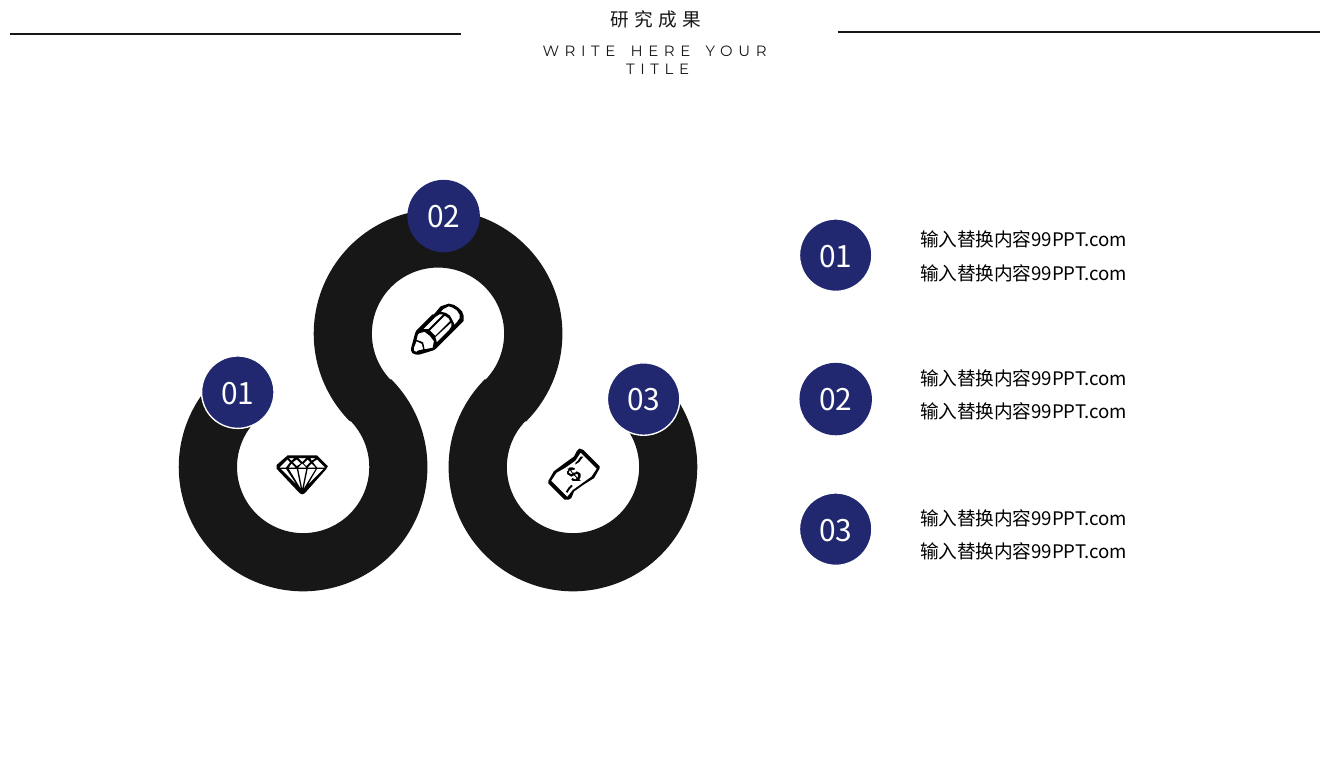
from pptx import Presentation
from pptx.dml.color import RGBColor
from pptx.enum import shapes, text
from pptx.oxml import ns
from pptx.util import Cm, Pt
from lxml import etree

THEME = {
    "ink": "181717", "badge": "212870", "white": "FFFFFF", "black": "000000",
    "cjk": "Noto Sans CJK SC", "latin": "Montserrat",
    "subtitle": 8, "body": 10, "number": 16, "leading": 1.2,
}

TITLE = ("研究成果", 11.28, 0.03, 2.36, 0.69)
SUBTITLE = ("WRITE HERE YOUR TITLE", 9.93, 0.66, 5, 0.94)
RULES = [(0.18, 8.71, 0.64), (15.83, 24.94, 0.6)]

ENTRY = ["输入替换内容99PPT.com"] * 2
ITEMS = [
    {"number": "01", "ring_badge": (3.81, 6.73), "legend_top": 4.14, "entry_top": 4.19, "outlined": True},
    {"number": "02", "ring_badge": (7.7, 3.4), "legend_top": 6.86, "entry_top": 6.81, "outlined": False},
    {"number": "03", "ring_badge": (11.48, 6.86), "legend_top": 9.32, "entry_top": 9.45, "outlined": True},
]
RINGS = [(6.48, 315, 225), (3.96, 135, 45), (6.48, 315, 225)]
RING_LEFT, RING_STEP, RING_SIZE, RING_BAND = 3.38, 2.55, 4.7, 1.1
BADGE_SIZE, LEGEND_LEFT, ENTRY_LEFT = 1.37, 15.11, 16.61

ICON_UNIT = 0.0254
DIAMOND = [
    [(37, 7), (31, 1), (30, 0), (8, 0), (7, 1), (0, 7), (0, 10), (17, 28), (19, 29), (21, 28), (37, 10), (38, 8)],
    [(22, 9), (16, 9), (19, 6)],
    [(20, 6), (23, 3), (25, 5), (22, 8)],
    [(15, 8), (12, 5), (15, 3), (18, 6)],
    [(22, 10), (19, 25), (16, 10)],
    [(23, 10), (29, 10), (20, 25)],
    [(23, 9), (26, 6), (29, 9)],
    [(25, 2), (29, 2), (26, 4)],
    [(19, 5), (16, 2), (22, 2)],
    [(11, 4), (9, 2), (13, 2)],
    [(11, 6), (14, 9), (9, 9)],
    [(15, 10), (18, 25), (9, 10)],
    [(15, 22), (3, 10), (7, 10)],
    [(30, 10), (35, 10), (23, 22)],
    [(30, 9), (27, 5), (30, 3), (36, 9)],
    [(8, 3), (10, 5), (7, 9), (2, 9)],
]
PENCIL = [
    [(35, 3), (32, 1), (28, 0), (25, 1), (22, 2), (17, 8), (16, 8), (4, 20), (3, 22), (0, 33), (0, 35),
     (1, 37), (4, 38), (6, 38), (16, 35), (18, 34), (36, 16), (39, 13), (39, 9), (38, 6)],
    [(19, 28), (18, 25), (30, 14), (30, 17), (28, 20), (19, 29)],
    [(18, 24), (16, 22), (14, 20), (25, 9), (28, 11), (29, 13)],
    [(13, 19), (9, 19), (18, 10), (21, 8), (24, 8)],
    [(5, 35), (4, 36), (2, 35), (2, 33), (4, 28), (8, 30), (9, 34)],
    [(10, 34), (9, 29), (7, 28), (4, 27), (5, 23), (6, 22), (10, 21), (14, 24), (17, 28), (16, 33), (15, 33)],
    [(34, 14), (32, 16), (32, 15), (29, 9), (26, 7), (22, 6), (24, 4), (28, 2), (31, 3), (34, 5), (36, 8), (36, 11)],
]
BANKNOTE = [
    [(39, 13), (27, 1), (24, 0), (22, 2), (20, 6), (13, 11), (5, 17), (1, 24), (1, 26), (13, 38),
     (16, 38), (18, 37), (20, 32), (27, 27), (35, 22), (39, 15)],
    [(15, 36), (3, 24), (7, 18), (14, 14), (21, 9), (25, 3), (37, 15), (33, 21), (26, 26), (19, 31)],
]
DOLLAR = [
    [(24, 18), (22, 17), (21, 18), (19, 18), (18, 16), (20, 16), (21, 15), (19, 14), (17, 14), (16, 15),
     (15, 15), (16, 16), (15, 17), (15, 19), (18, 21), (20, 20), (22, 22), (21, 23), (19, 22), (18, 23),
     (19, 24), (22, 24), (24, 24), (25, 24), (24, 23), (25, 21), (25, 19)],
    [(18, 19), (16, 18), (17, 16), (19, 19)],
    [(23, 21), (23, 22), (21, 20), (21, 19), (23, 19)],
]
LOWER_MARK = [[(18, 27), (16, 29), (14, 32), (15, 33), (17, 30), (19, 28)]]
UPPER_MARK = [[(23, 9), (21, 11), (21, 12), (24, 10), (27, 6), (25, 6)]]
ICONS = [
    ((5.23, 8.61), [DIAMOND]),
    ((7.77, 5.74), [PENCIL]),
    ((10.34, 8.48), [BANKNOTE, DOLLAR, LOWER_MARK, UPPER_MARK]),
]


def color(key):
    return RGBColor.from_string(THEME[key])


def paint(shape, fill, outline=None):
    shape.shadow.inherit = False
    shape.fill.solid()
    shape.fill.fore_color.rgb = color(fill)
    if outline:
        shape.line.color.rgb = color(outline)
        shape.line.width = Pt(0.75)
    else:
        shape.line.fill.background()


def write(frame, lines, size, ink, font="cjk", align="CENTER", tracking=0, gap=0, wrap=True):
    frame.word_wrap = wrap
    for index, line in enumerate(lines):
        paragraph = frame.paragraphs[0] if index == 0 else frame.add_paragraph()
        paragraph.alignment = getattr(text.PP_ALIGN, align)
        paragraph.line_spacing = Pt(THEME[size] * THEME["leading"])
        paragraph.space_before = Pt(gap if index else 0)
        run = paragraph.add_run()
        run.text = line
        run.font.size = Pt(THEME[size])
        run.font.color.rgb = color(ink)
        run.font.name = THEME[font]
        properties = run.font._element
        properties.set("spc", str(tracking * 100))
        etree.SubElement(properties, ns.qn("a:ea")).set("typeface", THEME[font])


def add_box(slide, left, top, width, height):
    return slide.shapes.add_textbox(Cm(left), Cm(top), Cm(width), Cm(height)).text_frame


def add_rule(slide, start, end, level):
    rule = slide.shapes.add_connector(shapes.MSO_CONNECTOR.STRAIGHT, Cm(start), Cm(level), Cm(end), Cm(level))
    rule.line.color.rgb = color("ink")
    rule.line.width = Pt(1)
    etree.SubElement(rule._element.spPr, ns.qn("a:effectLst"))


def add_ring(slide, left, top, start, end):
    ring = slide.shapes.add_shape(shapes.MSO_SHAPE.BLOCK_ARC, Cm(left), Cm(top), Cm(RING_SIZE), Cm(RING_SIZE))
    for index, value in enumerate((start * 0.6, end * 0.6, RING_BAND / RING_SIZE)):
        ring.adjustments[index] = value
    paint(ring, "ink")


def add_icon(slide, left, top, contours):
    first, *others = contours
    builder = slide.shapes.build_freeform(*first[0], scale=Cm(ICON_UNIT))
    builder.add_line_segments(first[1:], close=True)
    for contour in others:
        builder.move_to(*contour[0])
        builder.add_line_segments(contour[1:], close=True)
    paint(builder.convert_to_shape(Cm(left), Cm(top)), "black")


def add_badge(slide, left, top, item):
    badge = slide.shapes.add_shape(shapes.MSO_SHAPE.OVAL, Cm(left), Cm(top), Cm(BADGE_SIZE), Cm(BADGE_SIZE))
    paint(badge, "badge", "white" if item["outlined"] else None)
    frame = badge.text_frame
    frame.margin_left = frame.margin_right = frame.margin_top = frame.margin_bottom = 0
    frame.vertical_anchor = text.MSO_ANCHOR.MIDDLE
    write(frame, [item["number"]], "number", "white")


def main():
    deck = Presentation()
    deck.slide_width, deck.slide_height = Cm(25.4), Cm(14.5)
    slide = deck.slides.add_slide(deck.slide_layouts[6])

    for rule in RULES:
        add_rule(slide, *rule)
    write(add_box(slide, *SUBTITLE[1:]), [SUBTITLE[0]], "subtitle", "ink", font="latin", tracking=3)
    write(add_box(slide, *TITLE[1:]), [TITLE[0]], "body", "ink", align="LEFT", tracking=3, wrap=False)

    for index, (top, start, end) in enumerate(RINGS):
        add_ring(slide, RING_LEFT + index * RING_STEP, top, start, end)
    for corner, parts in ICONS:
        for part in parts:
            add_icon(slide, *corner, part)
    for item in ITEMS:
        add_badge(slide, *item["ring_badge"], item)
        add_badge(slide, LEGEND_LEFT, item["legend_top"], item)
        write(add_box(slide, ENTRY_LEFT, item["entry_top"], 5.46, 1.32), ENTRY, "body", "black", gap=6)

    deck.save("out.pptx")


if __name__ == "__main__":
    main()
